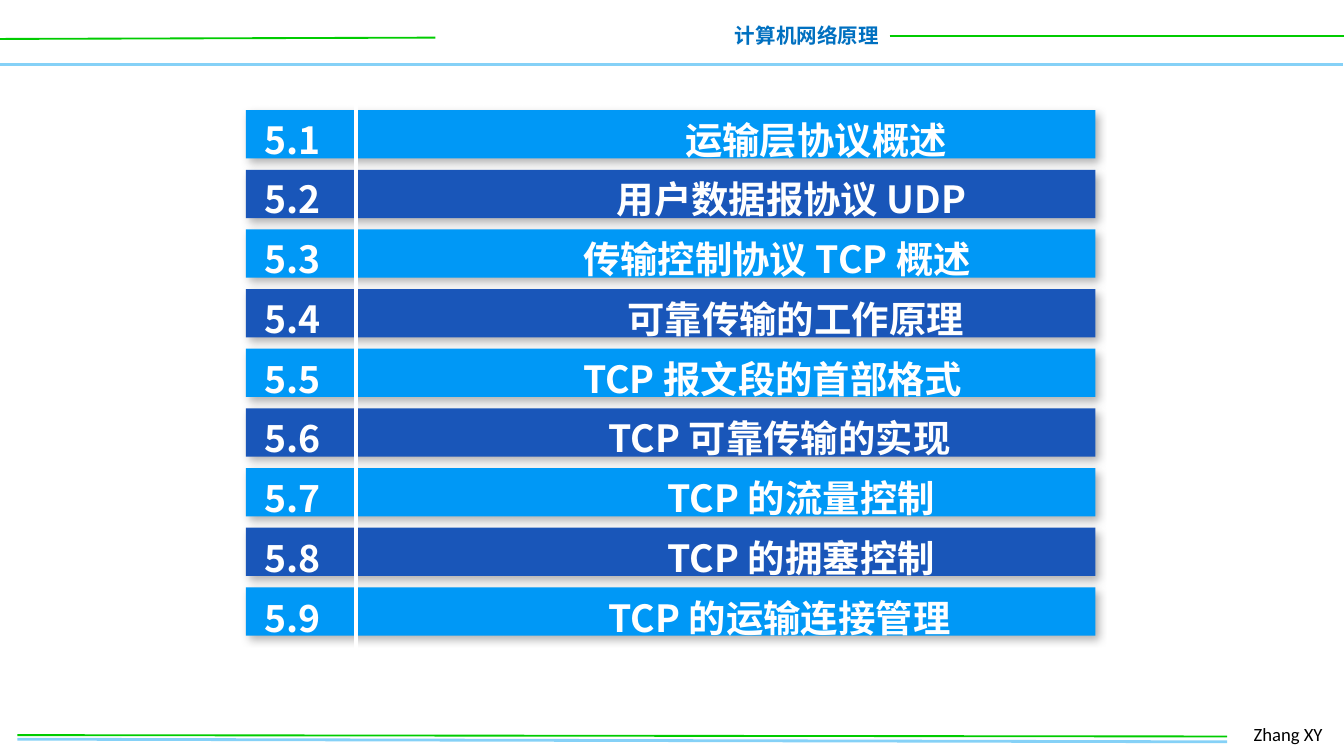
import lxml.etree
import pptx
import pptx.dml.color
import pptx.enum.shapes
import pptx.enum.text
import pptx.oxml.ns
import pptx.util
from pptx.util import Inches

CJK_FONT = "Noto Sans CJK SC"
LIGHT_BLUE, GREEN, WHITE = "85D1F7", "00CC00", "FFFFFF"
BAR_COLORS = ["0098F6", "1956B9"]
FIRST_BAR_TOP, LAST_BAR_TOP = 0.82, 4.37

# Title and its indent in inches from the left edge of the text
SECTIONS = [
    ("运输层协议概述", 3.13),
    ("用户数据报协议 UDP", 2.62),
    ("传输控制协议 TCP 概述", 2.37),
    ("可靠传输的工作原理", 2.7),
    ("TCP 报文段的首部格式", 2.37),
    ("TCP 可靠传输的实现", 2.56),
    ("TCP 的流量控制", 3),
    ("TCP 的拥塞控制", 3),
    ("TCP 的运输连接管理", 2.56),
]


def rgb(color):
    return pptx.dml.color.RGBColor.from_string(color)


def add_element(parent, tag, **attributes):
    """Append a DrawingML child element such as a:effectLst."""
    return lxml.etree.SubElement(parent, pptx.oxml.ns.qn(tag), attributes)


class SlideBuilder:
    """Holds the slide being drawn and its shared style."""

    def __init__(self, slide):
        self.slide = slide

    def line(self, start, end, color, width):
        connector = self.slide.shapes.add_connector(
            pptx.enum.shapes.MSO_CONNECTOR.STRAIGHT,
            *map(Inches, start + end))
        connector.line.color.rgb = rgb(color)
        connector.line.width = pptx.util.Pt(width)
        add_element(connector._element.spPr, "a:effectLst")

    def bar(self, left, top, width, height, color):
        shape = self.slide.shapes.add_shape(
            pptx.enum.shapes.MSO_SHAPE.RECTANGLE,
            *map(Inches, (left, top, width, height)))
        shape.fill.solid()
        shape.fill.fore_color.rgb = rgb(color)
        shape.line.fill.background()
        shape.shadow.inherit = False
        effects = shape._element.spPr.find(pptx.oxml.ns.qn("a:effectLst"))
        shadow = add_element(
            effects, "a:outerShdw", blurRad=str(pptx.util.Pt(4.5)),
            dist=str(pptx.util.Pt(2.6)), dir=str(53 * 60000),
            algn="tl", rotWithShape="0")
        shadow_color = add_element(shadow, "a:srgbClr", val="000000")
        add_element(shadow_color, "a:alpha", val="30000")

    def text_frame(self, left, top, width, height, wrap=True):
        box = self.slide.shapes.add_textbox(
            *map(Inches, (left, top, width, height)))
        frame = box.text_frame
        frame.word_wrap = wrap
        frame.auto_size = pptx.enum.text.MSO_AUTO_SIZE.SHAPE_TO_FIT_TEXT
        return frame

    def run(self, paragraph, text, size, color, font=CJK_FONT, bold=False):
        run = paragraph.add_run()
        run.text = text
        run.font.size = pptx.util.Pt(size)
        run.font.bold = bold
        run.font.color.rgb = rgb(color)
        run.font.name = font
        add_element(run.font._element, "a:ea", typeface=font)

    def tab_stop(self, paragraph, position):
        tabs = add_element(paragraph._p.get_or_add_pPr(), "a:tabLst")
        add_element(tabs, "a:tab", pos=str(Inches(position)), algn="l")


def draw_header_and_footer(builder):
    builder.line((-0.01, 0.48), (9.99, 0.48), LIGHT_BLUE, 2)
    builder.line((0, 0.29), (3.24, 0.28), GREEN, 1)

    course = builder.text_frame(5.36, 0.12, 1.28, 0.29, wrap=False)
    paragraph = course.paragraphs[0]
    paragraph.alignment = pptx.enum.text.PP_ALIGN.RIGHT
    builder.run(paragraph, "计算机网络原理", 11, "0070C0", bold=True)

    builder.line((6.62, 0.27), (10.01, 0.27), GREEN, 1)
    builder.line((0.13, 5.5), (9.13, 5.52), LIGHT_BLUE, 1.5)

    author = builder.text_frame(9.23, 5.33, 0.74, 0.27)
    builder.run(author.paragraphs[0], "Zhang XY", 10, "000000", "Calibri")

    builder.line((0.13, 5.47), (9.13, 5.48), GREEN, 1)


def draw_contents(builder):
    pitch = (LAST_BAR_TOP - FIRST_BAR_TOP) / (len(SECTIONS) - 1)
    for index in range(len(SECTIONS)):
        builder.bar(1.83, FIRST_BAR_TOP + index * pitch, 6.32, 0.36,
                    BAR_COLORS[index % 2])
    builder.line((2.65, 0.68), (2.65, 4.97), WHITE, 2.25)

    frame = builder.text_frame(1.87, 0.71, 6.13, 4.14)
    for index, (title, indent) in enumerate(SECTIONS):
        paragraph = frame.add_paragraph() if index else frame.paragraphs[0]
        paragraph.line_spacing = pptx.util.Pt(32)
        builder.tab_stop(paragraph, indent)
        builder.run(paragraph, f"5.{index + 1}\t{title}", 20, WHITE, bold=True)


def main():
    presentation = pptx.Presentation()
    presentation.slide_width = Inches(10)
    # Widescreen, 16:9
    presentation.slide_height = presentation.slide_width * 9 // 16
    slide = presentation.slides.add_slide(presentation.slide_layouts[6])
    builder = SlideBuilder(slide)
    draw_header_and_footer(builder)
    draw_contents(builder)
    presentation.save("out.pptx")


if __name__ == "__main__":
    main()
